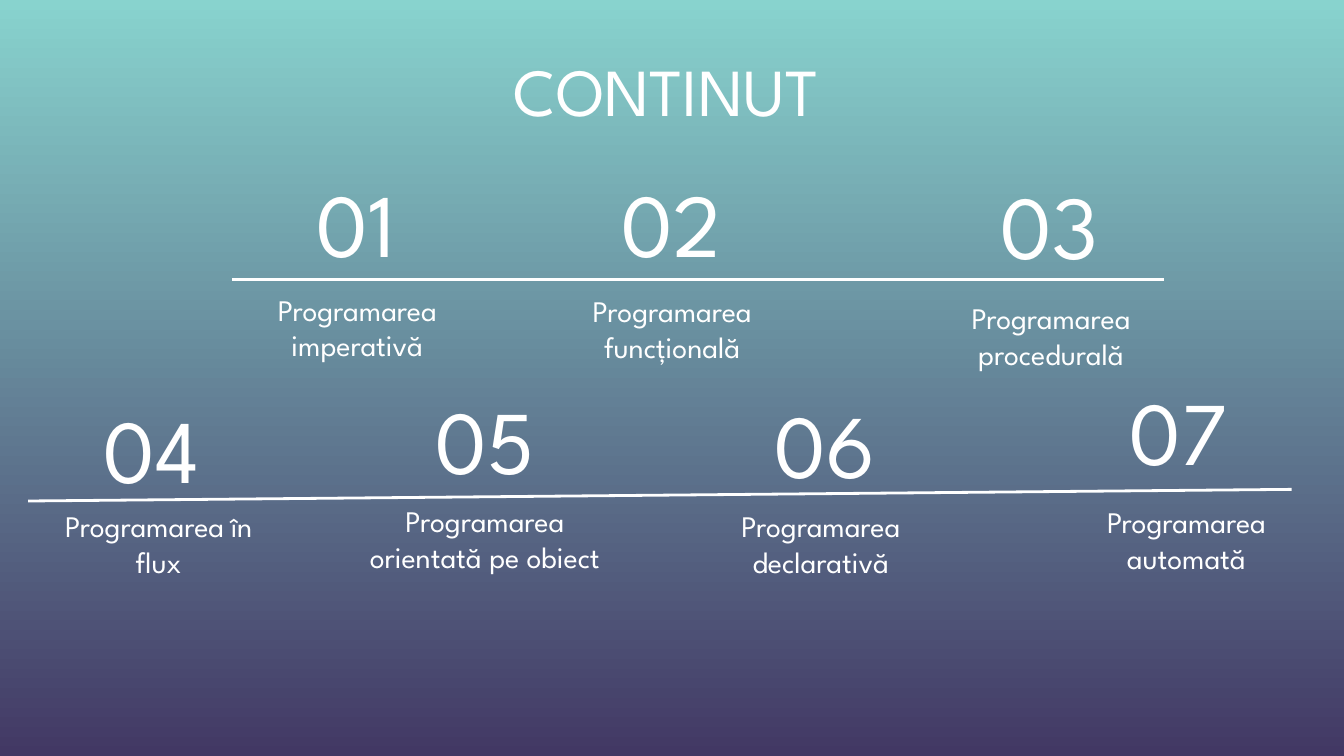
"""Build a table-of-contents slide with seven numbered programming paradigms."""
from dataclasses import dataclass

from lxml import etree
from pptx import Presentation
from pptx.dml.color import RGBColor
from pptx.enum.shapes import MSO_CONNECTOR
from pptx.enum.text import MSO_ANCHOR, MSO_AUTO_SIZE, PP_ALIGN
from pptx.oxml.ns import qn
from pptx.util import Cm, Pt

TOP, MIDDLE, BOTTOM = MSO_ANCHOR.TOP, MSO_ANCHOR.MIDDLE, MSO_ANCHOR.BOTTOM
CENTER = PP_ALIGN.CENTER
NO_AUTOFIT = MSO_AUTO_SIZE.NONE
STRAIGHT = MSO_CONNECTOR.STRAIGHT


@dataclass(frozen=True)
class Theme:
    font: str = "League Spartan"
    ink: RGBColor = RGBColor.from_string("FFFFFF")
    sky: RGBColor = RGBColor.from_string("88D3CE")
    dusk: RGBColor = RGBColor.from_string("423864")
    title_size: int = 36
    number_size: int = 48
    label_size: int = 16
    rule_width: float = 1.5


theme = Theme()


def write(box, text, size, anchor, inset=0.13):
    """Fill a text box with one centred run."""
    frame = box.text_frame
    frame.word_wrap = True
    frame.auto_size = NO_AUTOFIT
    frame.vertical_anchor = anchor
    frame.margin_left = frame.margin_right = Cm(0.25)
    frame.margin_top = frame.margin_bottom = Cm(inset)
    para = frame.paragraphs[0]
    para.alignment = CENTER
    span = para.add_run()
    span.text = text
    span.font.name = theme.font
    span.font.size = Pt(size)
    span.font.color.rgb = theme.ink


deck = Presentation()
deck.slide_width, deck.slide_height = Cm(25.4), Cm(14.29)
page = deck.slides.add_slide(deck.slide_layouts[5])

backdrop = page.background.fill
backdrop.gradient()
backdrop.gradient_angle = 270
for stop, position, colour in zip(backdrop.gradient_stops, (0, 1), (theme.sky, theme.dusk)):
    stop.position = position
    stop.color.rgb = colour

title = page.shapes.title
title.left, title.top, title.width, title.height = Cm(3), Cm(0.69), Cm(19.18), Cm(2.62)
write(title, "CONTINUT", theme.title_size, TOP, 0.25)

rules = [(4.39, 5.28, 22, 5.28), (0.53, 9.47, 24.41, 9.25)]
for ends in rules:
    rule = page.shapes.add_connector(STRAIGHT, *map(Cm, ends))
    rule.line.color.rgb = theme.ink
    rule.line.width = Pt(theme.rule_width)
    etree.SubElement(rule._element.spPr, qn("a:effectLst"))

topics = [
    ("Programarea imperativă", (4.29, 3.4, 4.88, 1.6), (3.91, 5.51, 5.69, 1.6), BOTTOM, 0.25),
    ("Programarea funcțională", (10.26, 3.4, 4.88, 1.6), (9.86, 5.41, 5.69, 1.63), TOP, 0.13),
    ("Programarea procedurală", (17.4, 3.43, 4.88, 1.6), (17.02, 5.54, 5.69, 1.63), TOP, 0.13),
    ("Programarea în flux", (0.43, 7.67, 4.88, 1.6), (0.69, 9.47, 4.62, 1.63), TOP, 0.13),
    ("Programarea orientată pe obiect", (5.99, 7.14, 6.35, 2.31), (6.32, 9.37, 5.69, 2.31), TOP, 0.13),
    ("Programarea declarativă", (12.75, 7.21, 5.69, 2.31), (12.67, 9.47, 5.69, 1.63), TOP, 0.13),
    ("Programarea automată", (19.84, 7.32, 4.88, 1.6), (19.58, 9.4, 5.69, 1.63), TOP, 0.13),
]
for index, (topic, number_area, label_area, anchor, inset) in enumerate(topics, start=1):
    number = page.shapes.add_textbox(*map(Cm, number_area))
    write(number, f"{index:02}", theme.number_size, MIDDLE)
    label = page.shapes.add_textbox(*map(Cm, label_area))
    write(label, topic, theme.label_size, anchor, inset)

deck.save("out.pptx")
